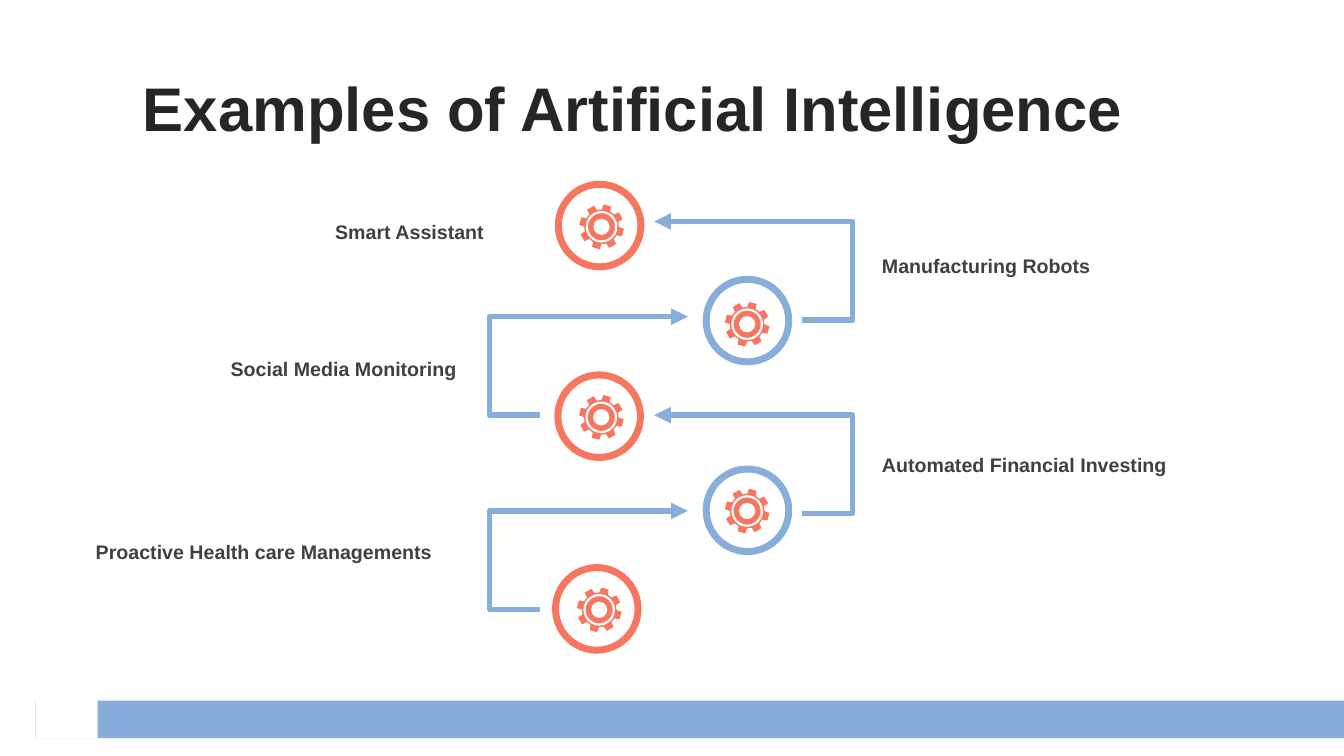
import math

import pptx
import pptx.dml.color
import pptx.enum.shapes
import pptx.enum.text
import pptx.oxml
import pptx.oxml.ns
import pptx.util
from dataclasses import dataclass

Pt = pptx.util.Pt
SHAPE = pptx.enum.shapes.MSO_SHAPE
ALIGN = pptx.enum.text.PP_ALIGN
ANCHOR = pptx.enum.text.MSO_ANCHOR


@dataclass(frozen=True)
class Theme:
    font: str = "Arial"
    title_size: float = 44
    label_size: float = 14
    title_color: str = "262626"
    label_color: str = "404040"
    blue: str = "87ADDB"
    coral: str = "F77660"
    white: str = "FFFFFF"
    ring_width: float = 5
    arrow_width: float = 4


def rgb(value):
    return pptx.dml.color.RGBColor.from_string(value)


def set_text(tf, text, *, font, size, color, bold=True, align=ALIGN.LEFT):
    p = tf.paragraphs[0]
    p.alignment = align
    r = p.add_run()
    r.text = text
    r.font.name = font
    r.font.size = Pt(size)
    r.font.bold = bold
    r.font.color.rgb = rgb(color)


def polar(cx, cy, radius, degrees):
    """Point at a clockwise angle from the top."""
    a = math.radians(degrees)
    return cx + radius * math.sin(a), cy - radius * math.cos(a)


class SlideBuilder:
    def __init__(self, slide, theme):
        self.shapes = slide.shapes
        self.theme = theme

    def paint(self, sp, fill=None, line=None, width=0):
        sp.shadow.inherit = False
        if fill:
            sp.fill.solid()
            sp.fill.fore_color.rgb = rgb(fill)
        else:
            sp.fill.background()
        if line:
            sp.line.color.rgb = rgb(line)
            sp.line.width = Pt(width)
        else:
            sp.line.fill.background()
        return sp

    def shape(self, kind, x, y, w, h, **style):
        sp = self.shapes.add_shape(kind, Pt(x), Pt(y), Pt(w), Pt(h))
        return self.paint(sp, **style)

    def disc(self, cx, cy, radius, kind=SHAPE.OVAL, **style):
        return self.shape(kind, cx - radius, cy - radius,
                          2 * radius, 2 * radius, **style)

    def outline(self, points, close=True, **style):
        start, *rest = [(Pt(x), Pt(y)) for x, y in points]
        builder = self.shapes.build_freeform(*start, scale=1.0)
        builder.add_line_segments(rest, close=close)
        return self.paint(builder.convert_to_shape(), **style)

    def gear(self, cx, cy):
        tooth = [(-14.5, 12.4), (-10, 16), (10, 16), (14.5, 12.4)]
        self.outline([polar(cx, cy, radius, 15 + 45 * i + offset)
                      for i in range(8) for offset, radius in tooth],
                     fill=self.theme.coral)
        groove = self.disc(cx, cy, 11.3, SHAPE.DONUT, fill=self.theme.white)
        groove.adjustments[0] = 0.07
        self.disc(cx, cy, 5.8, fill=self.theme.white)

    def elbow_arrow(self, x, y, side):
        """Arrow with its tip at x, y; side is 1 to bend right, -1 left."""
        far, bottom = x + 141.7 * side, y + 70.3
        points = [(x, y), (far, y), (far, bottom), (far - 36 * side, bottom)]
        sp = self.outline(points, close=False, line=self.theme.blue,
                          width=self.theme.arrow_width)
        head = pptx.oxml.parse_xml(
            f'<a:headEnd {pptx.oxml.ns.nsdecls("a")} type="triangle"/>')
        sp.element.spPr.find(pptx.oxml.ns.qn("a:ln")).append(head)

    def text(self, text, x, y, w, h, inset=7.2, anchor=ANCHOR.TOP, **style):
        tf = self.shapes.add_textbox(Pt(x), Pt(y), Pt(w), Pt(h)).text_frame
        tf.word_wrap = True
        tf.auto_size = pptx.enum.text.MSO_AUTO_SIZE.SHAPE_TO_FIT_TEXT
        tf.vertical_anchor = anchor
        tf.margin_left = tf.margin_right = Pt(inset)
        tf.margin_top = tf.margin_bottom = Pt(3.6)
        set_text(tf, text, font=self.theme.font, **style)

    def label(self, text, x, y, w=247, align=ALIGN.LEFT):
        self.text(text, x, y, w, 24.5, inset=8.6, align=align,
                  size=self.theme.label_size, color=self.theme.label_color)


def main():
    prs = pptx.Presentation()
    prs.slide_width, prs.slide_height = Pt(960), Pt(540)
    theme = Theme()
    s = SlideBuilder(prs.slides.add_slide(prs.slide_layouts[6]), theme)

    s.shape(SHAPE.RECTANGLE, 25.2, 500.4, 934.8, 26.8, fill=theme.blue)
    s.shape(SHAPE.RECTANGLE, 25.2, 500, 44.6, 27.4, fill=theme.white)

    # Tip of each arrow and the side it bends to
    for x, y, side in [(467.3, 158.2, 1), (491.3, 226.2, -1),
                       (467.3, 296.6, 1), (491.3, 365, -1)]:
        s.elbow_arrow(x, y, side)

    # Ring centre, ring colour and gear centre
    for x, y, color, cx, cy in [
            (428.3, 161.1, theme.coral, 429.7, 162),
            (533.9, 229, theme.blue, 533.7, 231.6),
            (428, 297.3, theme.coral, 429.5, 298.1),
            (533.9, 364.5, theme.blue, 533.7, 365),
            (426.3, 434.9, theme.coral, 428, 435.6)]:
        s.disc(x, y, 29.5, fill=theme.white, line=color,
               width=theme.ring_width)
        s.gear(cx, cy)

    s.label("Smart Assistant", 107.3, 153.4, align=ALIGN.RIGHT)
    s.label("Manufacturing Robots", 621.4, 177.8)
    s.label("Social Media Monitoring", 87.8, 251.3, align=ALIGN.RIGHT)
    s.label("Automated Financial Investing", 621.4, 319.7)
    s.label("Proactive Health care Managements", 59.8, 382.3, w=264.2)

    s.text("Examples of Artificial Intelligence", 95, 46.1, 806.4, 60.5,
           anchor=ANCHOR.MIDDLE, size=theme.title_size,
           color=theme.title_color)
    prs.save("out.pptx")


if __name__ == "__main__":
    main()
